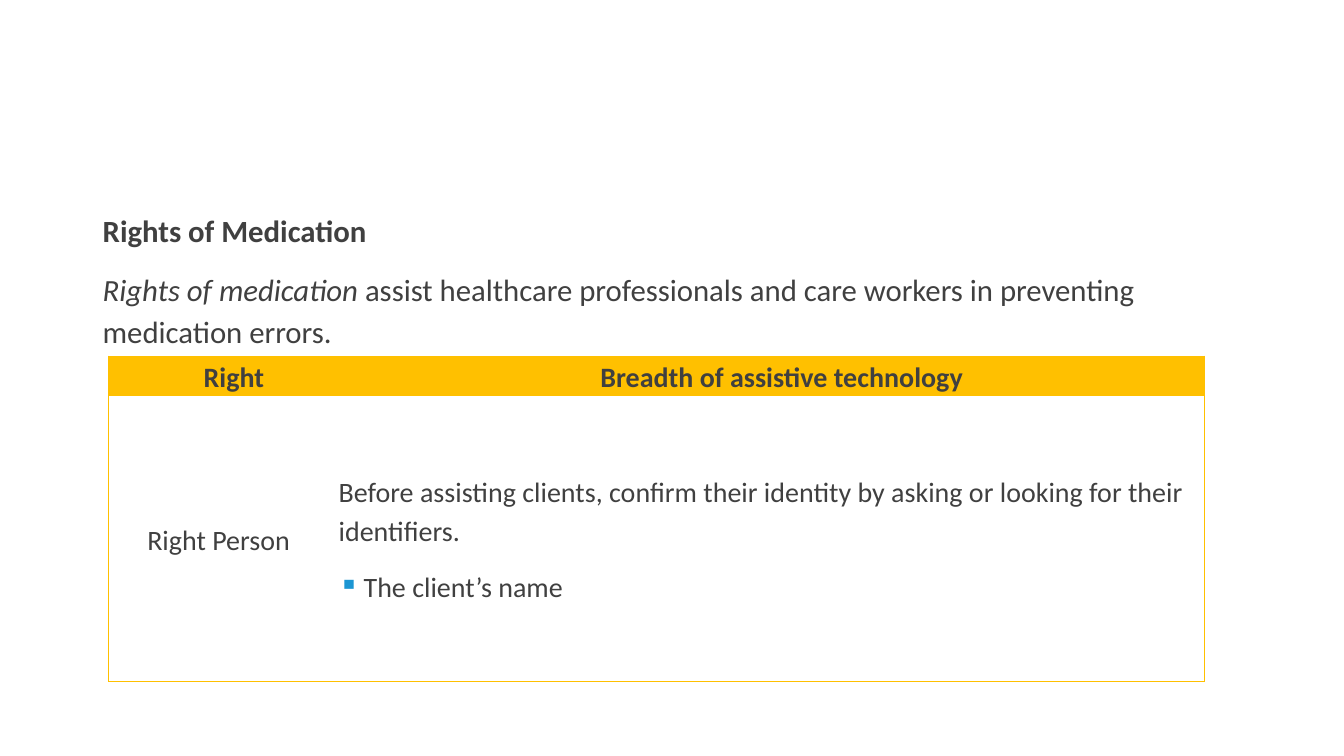
from lxml import etree
from pptx import Presentation
from pptx.dml.color import RGBColor
from pptx.enum.text import MSO_ANCHOR, PP_ALIGN
from pptx.oxml.ns import qn
from pptx.util import Cm, Pt

LEFT, CENTER = PP_ALIGN.LEFT, PP_ALIGN.CENTER
MIDDLE = MSO_ANCHOR.MIDDLE
COLORS = {"text": "404040", "gold": "FFC000", "bullet": "1C96D3"}
PLAIN_TABLE_STYLE = "{2D5ABB26-0587-4C30-8999-92F81FD0307C}"


def add_text(frame, text, size, align=LEFT, first=False, bold=False,
             italic_lead="", margin=0, indent=0, bullet=None):
    """Add one paragraph, with an optional italic opening phrase."""
    paragraph = frame.paragraphs[0] if first else frame.add_paragraph()
    properties = paragraph._p.get_or_add_pPr()
    if margin:
        properties.set("marL", str(Cm(margin)))
        properties.set("indent", str(Cm(indent)))
    if bullet:
        color = etree.SubElement(properties, qn("a:buClr"))
        etree.SubElement(color, qn("a:srgbClr"), val=COLORS["bullet"])
        etree.SubElement(properties, qn("a:buChar"), char=bullet)
    paragraph.alignment = align
    paragraph.line_spacing = 1.14
    paragraph.space_before = Pt(0 if first else 6)
    paragraph.space_after = Pt(6)
    for content, italic in ((italic_lead, True), (text, False)):
        if content:
            run = paragraph.add_run()
            run.text = content
            run.font.name = "Calibri"
            run.font.size = Pt(size)
            run.font.bold = bold
            run.font.italic = italic
            run.font.color.rgb = RGBColor.from_string(COLORS["text"])


class SlideBuilder:
    def __init__(self, slide):
        self.slide = slide
        self.body_size = 22
        self.table_size = 20
        self.border_width = Pt(0.5)

    def text_box(self, left, top, width, height):
        shape = self.slide.shapes.add_textbox(Cm(left), Cm(top), Cm(width), Cm(height))
        shape.text_frame.word_wrap = True
        return shape.text_frame

    def table(self, left, top, column_widths, row_heights):
        shape = self.slide.shapes.add_table(
            len(row_heights), len(column_widths), Cm(left), Cm(top),
            Cm(sum(column_widths)), Cm(sum(row_heights)))
        table = shape.table
        table.horz_banding = False
        table._tbl.tblPr.find(qn("a:tableStyleId")).text = PLAIN_TABLE_STYLE
        for column, width in zip(table.columns, column_widths):
            column.width = Cm(width)
        for row, height in zip(table.rows, row_heights):
            row.height = Cm(height)
        return table

    def borders(self, cell, sides):
        """Draw gold lines on the sides named by L, R, T and B, in that order."""
        properties = cell._tc.get_or_add_tcPr()
        for position, side in enumerate(sides):
            line = etree.Element(qn(f"a:ln{side}"), w=str(self.border_width))
            fill = etree.SubElement(line, qn("a:solidFill"))
            etree.SubElement(fill, qn("a:srgbClr"), val=COLORS["gold"])
            properties.insert(position, line)

    def header_cell(self, cell, text, sides):
        cell.fill.solid()
        cell.fill.fore_color.rgb = RGBColor.from_string(COLORS["gold"])
        cell.vertical_anchor = MIDDLE
        cell.margin_left = cell.margin_right = Cm(0.18)
        cell.margin_top = cell.margin_bottom = 0
        self.borders(cell, sides)
        add_text(cell.text_frame, text, self.table_size, align=CENTER, first=True,
                 bold=True, margin=1.4, indent=-0.63)

    def body_cell(self, cell, text, sides, align=LEFT):
        cell.fill.background()
        cell.vertical_anchor = MIDDLE
        self.borders(cell, sides)
        add_text(cell.text_frame, text, self.table_size, align=align, first=True)


def main():
    presentation = Presentation()
    presentation.slide_width, presentation.slide_height = Cm(33.87), Cm(19.05)
    builder = SlideBuilder(presentation.slides.add_slide(presentation.slide_layouts[6]))

    introduction = builder.text_box(2.34, 5.08, 28.02, 12.09)
    add_text(introduction, "Rights of Medication", builder.body_size, first=True, bold=True)
    add_text(introduction,
             "assist healthcare professionals and care workers in preventing medication errors.",
             builder.body_size, italic_lead="Rights of medication ")

    rights = builder.table(2.74, 8.97, [5.54, 22.07], [0.99, 7.21])
    builder.header_cell(rights.cell(0, 0), "Right", "LT")
    builder.header_cell(rights.cell(0, 1), "Breadth of assistive technology", "RT")
    builder.body_cell(rights.cell(1, 0), "Right Person", "LTB", align=CENTER)
    guidance = rights.cell(1, 1)
    builder.body_cell(
        guidance,
        "Before assisting clients, confirm their identity by asking or looking for their identifiers.",
        "RTB")
    add_text(guidance.text_frame, "The client’s name", builder.table_size,
             margin=0.63, indent=-0.63, bullet="▪")

    presentation.save("out.pptx")


if __name__ == "__main__":
    main()
